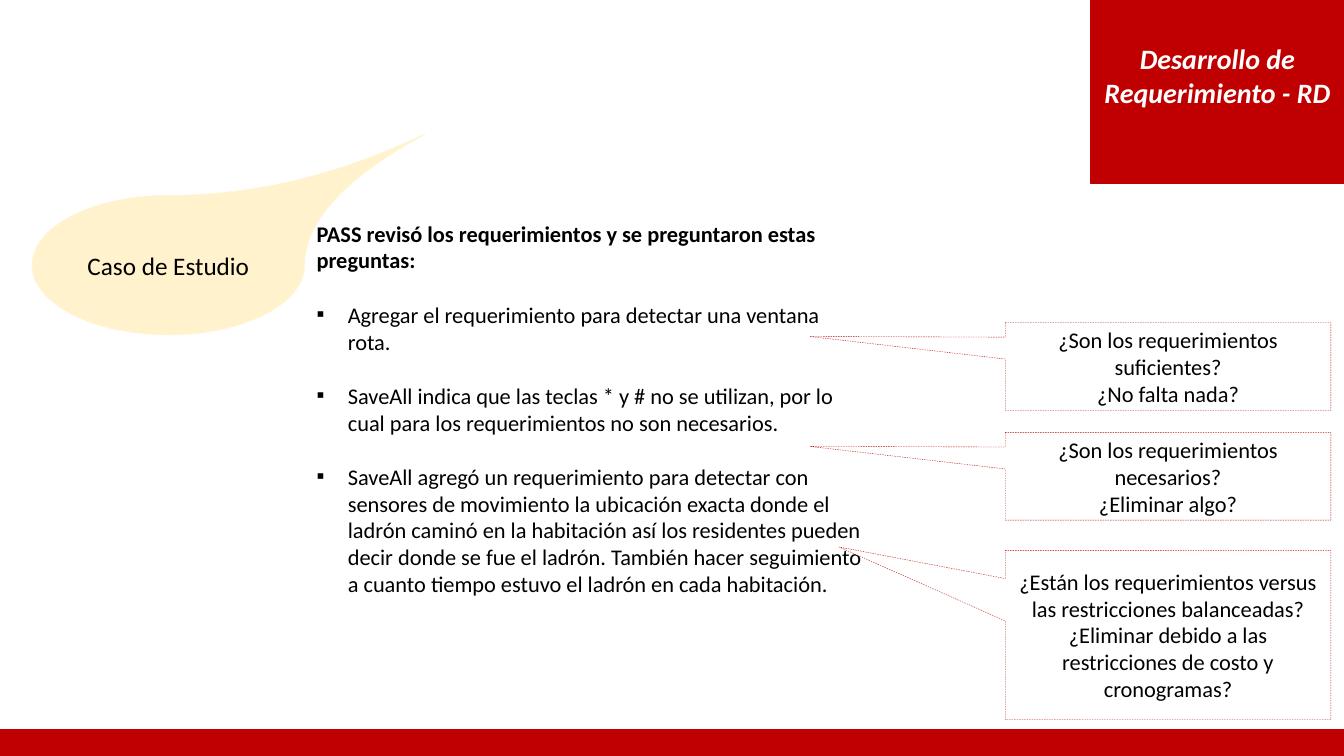
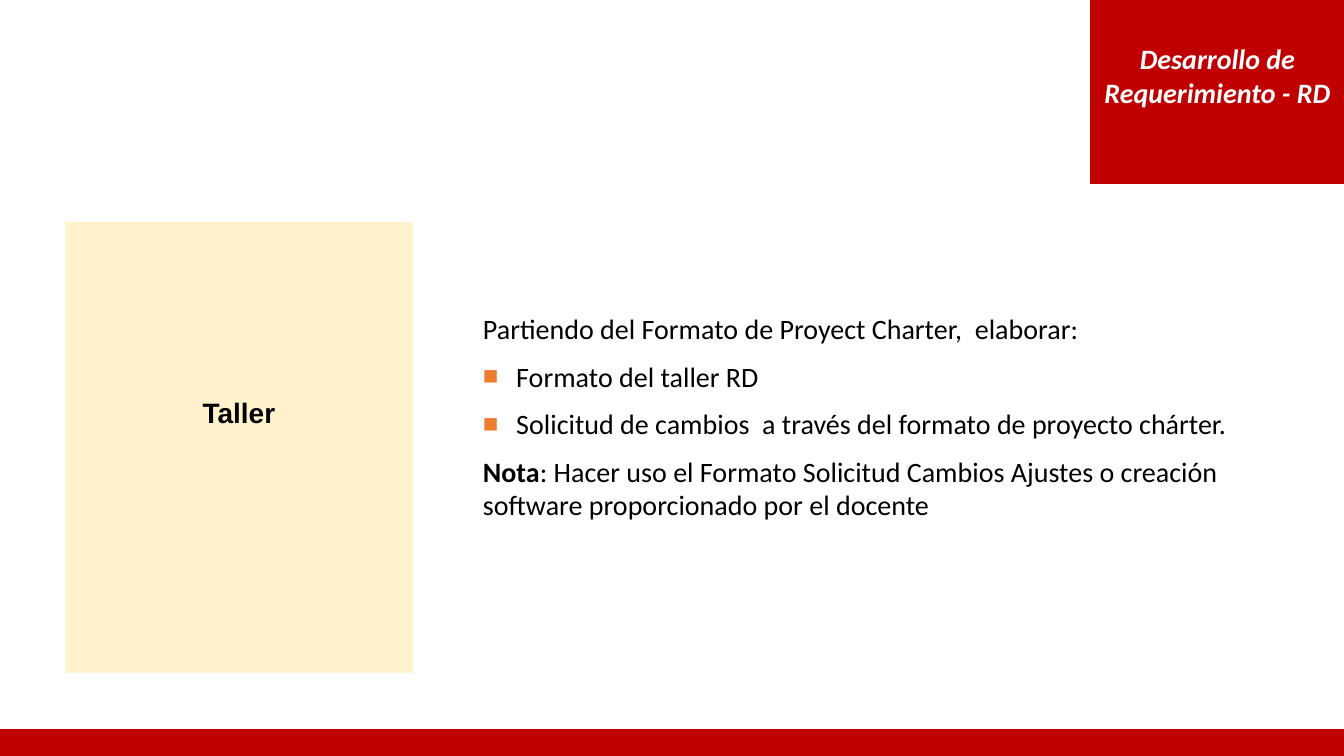
import pptx
import pptx.util
import pptx.dml.color
import pptx.enum.dml
import pptx.enum.shapes
import pptx.enum.text
import pptx.oxml.ns
import lxml.etree

Inches = pptx.util.Inches
Pt = pptx.util.Pt
SHAPE = pptx.enum.shapes.MSO_SHAPE
ALIGN = pptx.enum.text.PP_ALIGN
ANCHOR = pptx.enum.text.MSO_ANCHOR
DASH = pptx.enum.dml.MSO_LINE

COLORS = {
    "red": "C00000",
    "cream": "FFF2CC",
    "white": "FFFFFF",
    "black": "000000",
    "orange": "ED7D31",
}
WIDTH, HEIGHT = 13.33, 7.5
TITLE = "Desarrollo de Requerimiento - RD"
TITLE_BOX = (10.82, 0, 2.51, 1.82)
BAND_BOX = (0, 7.24, WIDTH, 0.26)


def rgb(name):
    return pptx.dml.color.RGBColor.from_string(COLORS[name])


def place(sp, box):
    sp.left, sp.top, sp.width, sp.height = [Inches(v) for v in box]


def paint(sp, fill, line=None, width=1, dash=None):
    sp.fill.solid()
    sp.fill.fore_color.rgb = rgb(fill)
    if line is None:
        sp.line.fill.background()
        return
    sp.line.color.rgb = rgb(line)
    sp.line.width = Pt(width)
    if dash is not None:
        sp.line.dash_style = dash


def style(font, size, color="black", name="Calibri", bold=False, italic=False):
    font.size = Pt(size)
    font.name = name
    font.bold = bold
    font.italic = italic
    font.color.rgb = rgb(color)


def set_text(sp, lines, size, bottom=0.05, **font):
    tf = sp.text_frame
    tf.word_wrap = True
    tf.auto_size = pptx.enum.text.MSO_AUTO_SIZE.NONE
    tf.vertical_anchor = ANCHOR.MIDDLE
    tf.margin_bottom = Inches(bottom)
    tf.text = "\n".join(lines)
    for p in tf.paragraphs:
        p.alignment = ALIGN.CENTER
        style(p.font, size, **font)


def add_panel(slide, kind, box, fill, line, width=1, dash=None):
    sp = slide.shapes.add_shape(kind, *[Inches(v) for v in box])
    sp.shadow.inherit = False
    paint(sp, fill, line, width, dash)
    return sp


def set_bullet(p, char=None, indent=0, color=None, percent=None):
    pPr = p._p.get_or_add_pPr()
    pPr.set("marL", str(Inches(indent)))
    pPr.set("indent", str(-Inches(indent)))

    def add(parent, tag, **attrs):
        return lxml.etree.SubElement(parent, pptx.oxml.ns.qn(tag), **attrs)

    if char is None:
        add(pPr, "a:buNone")
        return
    if color:
        add(add(pPr, "a:buClr"), "a:srgbClr", val=COLORS[color])
    if percent:
        add(pPr, "a:buSzPct", val=str(percent * 1000))
    add(pPr, "a:buFont", typeface="Arial")
    add(pPr, "a:buChar", char=char)


def fill_body(slide, box, items, size, before, after, bullet):
    body = slide.placeholders[1]
    place(body, box)
    tf = body.text_frame
    tf.word_wrap = True
    tf.auto_size = pptx.enum.text.MSO_AUTO_SIZE.NONE
    tf.vertical_anchor = ANCHOR.TOP
    for i, (bulleted, runs) in enumerate(items):
        p = tf.add_paragraph() if i else tf.paragraphs[0]
        set_bullet(p, **(bullet if bulleted else {}))
        p.space_before = Pt(before)
        p.space_after = Pt(after)
        style(p.font, size, bold=len(runs) == 1 and runs[0][1])
        for text, bold in runs:
            r = p.add_run()
            r.text = text
            if len(runs) > 1:
                r.font.bold = bold
    return body


def add_base_slide(prs):
    slide = prs.slides.add_slide(prs.slide_layouts[1])
    title = slide.shapes.title
    place(title, TITLE_BOX)
    paint(title, "red", "red")
    set_text(title, [TITLE], 20, bottom=0.38, color="white", bold=True, italic=True)
    add_panel(slide, SHAPE.RECTANGLE, BAND_BOX, "red", "red")
    return slide


def add_callout(slide, box, tip, lines):
    sp = add_panel(slide, SHAPE.RECTANGULAR_CALLOUT, box, "white", "red", 0.25, DASH.DASH)
    sp.adjustments[0], sp.adjustments[1] = tip
    set_text(sp, lines, 16)


def build_case_study(prs):
    slide = add_base_slide(prs)
    drop = add_panel(slide, SHAPE.TEAR, (0.32, 1.94, 2.7, 1.38),
                     "cream", "cream", dash=DASH.ROUND_DOT)
    drop.adjustments[0] = 1.88
    set_text(drop, ["Caso de Estudio"], 18)

    items = [
        (False, [("PASS revisó los requerimientos y se preguntaron estas preguntas:", True)]),
        (True, [("Agregar el requerimiento para detectar una ventana rota.", False)]),
        (True, [("SaveAll indica que las teclas * y # no se utilizan, por lo cual para "
                 "los requerimientos no son necesarios.", False)]),
        (True, [("SaveAll agregó un requerimiento para detectar con sensores de movimiento "
                 "la ubicación exacta donde el ladrón caminó en la habitación así los "
                 "residentes pueden decir donde se fue el ladrón. También hacer seguimiento "
                 "a cuanto tiempo estuvo el ladrón en cada habitación.", False)]),
    ]
    fill_body(slide, (3.04, 2.13, 5.62, 3.87), items, 16, 0, 19.5,
              {"char": "▪", "indent": 0.31})

    callouts = [
        (3.2, 0.87, (-1.1, -0.34),
         ["¿Son los requerimientos suficientes?", "¿No falta nada?"]),
        (4.29, 0.87, (-1.1, -0.34),
         ["¿Son los requerimientos necesarios?", "¿Eliminar algo?"]),
        (5.46, 1.68, (-1.01, -0.52),
         ["¿Están los requerimientos versus las restricciones balanceadas?",
          "¿Eliminar debido a las restricciones de costo y cronogramas?"]),
    ]
    for top, height, tip, lines in callouts:
        add_callout(slide, (9.97, top, 3.23, height), tip, lines)


def build_workshop(prs):
    slide = add_base_slide(prs)
    panel = add_panel(slide, SHAPE.RECTANGLE, (0.64, 2.2, 3.46, 4.48), "cream", "white", 0.75)
    set_text(panel, ["Taller"], 20, bottom=0.75, name="Arial", bold=True)

    items = [
        (False, [("Partiendo del Formato de Proyect Charter,  elaborar:", False)]),
        (True, [("Formato del taller RD", False)]),
        (True, [("Solicitud de cambios  a través del formato de proyecto chárter.", False)]),
        (False, [("Nota", True),
                 (": Hacer uso el Formato Solicitud Cambios Ajustes o creación software "
                  "proporcionado por el docente", False)]),
    ]
    body = fill_body(slide, (4.69, 3.04, 8.44, 2.14), items, 20, 4, 6,
                     {"char": "■", "indent": 0.33, "color": "orange", "percent": 92})
    paint(body, "white")


def main():
    prs = pptx.Presentation()
    prs.slide_width = Inches(WIDTH)
    prs.slide_height = Inches(HEIGHT)
    build_case_study(prs)
    build_workshop(prs)
    prs.save("out.pptx")


if __name__ == "__main__":
    main()
